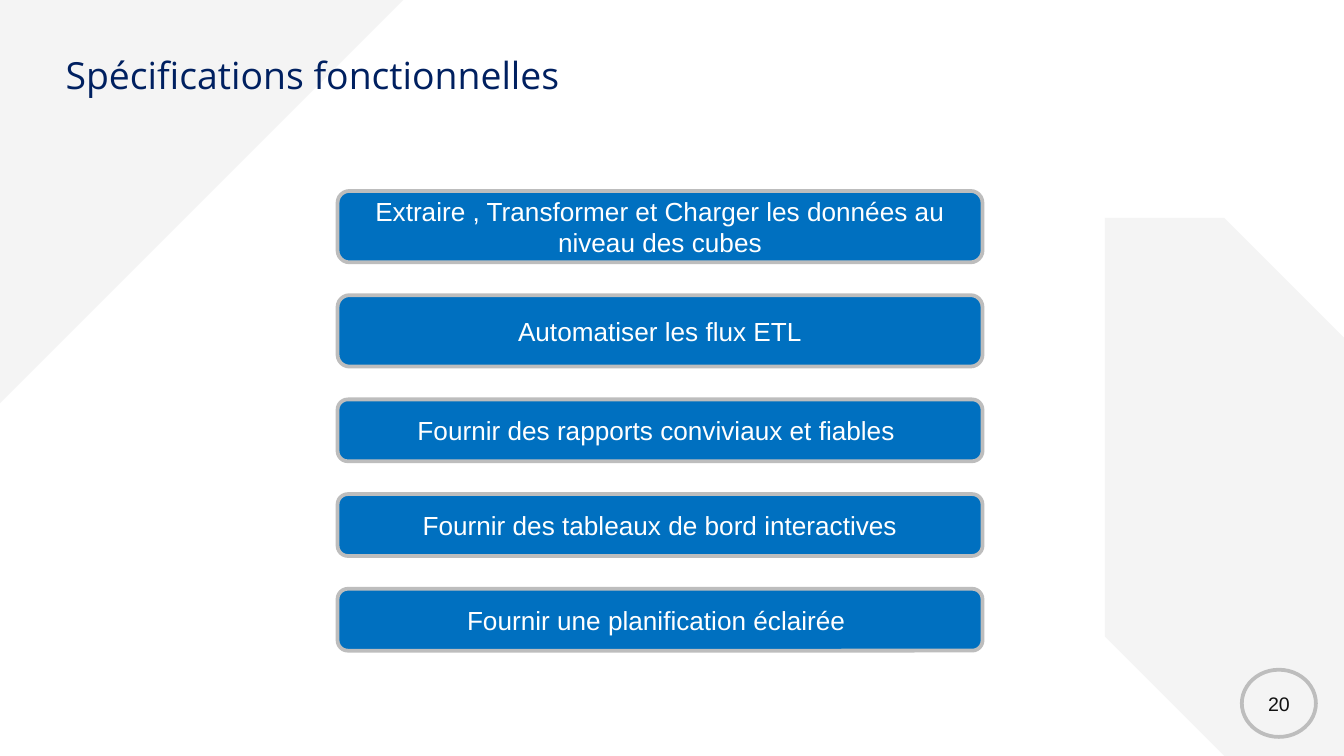
"""Build the functional specifications slide."""
from dataclasses import dataclass

from pptx import Presentation
from pptx.dml.color import RGBColor
from pptx.enum.shapes import MSO_SHAPE
from pptx.enum.text import MSO_ANCHOR, MSO_AUTO_SIZE, PP_ALIGN
from pptx.shapes.autoshape import Shape
from pptx.slide import Slide
from pptx.util import Cm, Pt

COLOURS = {
    "backdrop": "F4F4F4",
    "title": "002060",
    "box": "0070C0",
    "border": "BDBDBD",
    "box_text": "FFFFFF",
    "number": "111111",
}
BOX_LEFT, BOX_WIDTH = 6.38, 12.19
FIRST_TOP, GAP = 3.61, 0.62
TALL, SHORT = 1.35, 1.17


@dataclass
class Area:
    left: float
    top: float
    width: float
    height: float


@dataclass
class Specification:
    wording: str
    height: float


SPECIFICATIONS = [
    Specification("Extraire , Transformer et Charger les données au niveau des cubes", TALL),
    Specification("Automatiser les flux ETL", TALL),
    Specification("Fournir des rapports conviviaux et fiables ", SHORT),
    Specification("Fournir des tableaux de bord interactives", SHORT),
    Specification("Fournir une planification éclairée ", SHORT),
]


def colour(name: str) -> RGBColor:
    return RGBColor.from_string(COLOURS[name])


def add_figure(slide: Slide, preset: MSO_SHAPE, area: Area,
               fill: str | None, border: str | None = None) -> Shape:
    figure = slide.shapes.add_shape(
        preset, Cm(area.left), Cm(area.top), Cm(area.width), Cm(area.height))
    figure.shadow.inherit = False
    if fill:
        figure.fill.solid()
        figure.fill.fore_color.rgb = colour(fill)
    else:
        figure.fill.background()
    if border:
        figure.line.color.rgb = colour(border)
        figure.line.width = Pt(2)
    else:
        figure.line.fill.background()
    return figure


def write(holder: Shape, wording: str, font: str, size: float, ink: str,
          alignment: PP_ALIGN = PP_ALIGN.CENTER) -> None:
    paragraph = holder.text_frame.paragraphs[0]
    paragraph.alignment = alignment
    run = paragraph.add_run()
    run.text = wording
    run.font.name = font
    run.font.size = Pt(size)
    run.font.color.rgb = colour(ink)


def add_backdrop(slide: Slide) -> None:
    corner = add_figure(slide, MSO_SHAPE.RIGHT_TRIANGLE, Area(0, 0, 7.62, 7.62), "backdrop")
    corner.rotation = 90
    band = add_figure(slide, MSO_SHAPE.SNIP_2_DIAG_RECTANGLE,
                      Area(20.88, 4.12, 4.52, 10.17), "backdrop")
    band.adjustments[0] = 0
    band.adjustments[1] = 0.5


def add_title(slide: Slide, wording: str) -> None:
    title = slide.shapes.add_textbox(Cm(0.99), Cm(0.86), Cm(11.13), Cm(1.11))
    title.text_frame.word_wrap = False
    title.text_frame.auto_size = MSO_AUTO_SIZE.SHAPE_TO_FIT_TEXT
    write(title, wording, "Open Sans", 20, "title", PP_ALIGN.LEFT)


def add_specifications(slide: Slide) -> None:
    top = FIRST_TOP
    for specification in SPECIFICATIONS:
        area = Area(BOX_LEFT, top, BOX_WIDTH, specification.height)
        box = add_figure(slide, MSO_SHAPE.ROUNDED_RECTANGLE, area, "box", "border")
        box.text_frame.word_wrap = True
        box.text_frame.vertical_anchor = MSO_ANCHOR.MIDDLE
        write(box, specification.wording, "Arial", 14, "box_text")
        top += specification.height + GAP


def add_page_number(slide: Slide, number: str) -> None:
    badge = add_figure(slide, MSO_SHAPE.OVAL, Area(23.47, 12.66, 1.4, 1.27), None, "border")
    badge.text_frame.word_wrap = False
    badge.text_frame.vertical_anchor = MSO_ANCHOR.MIDDLE
    write(badge, number, "Arial", 10.5, "number")


def main() -> None:
    presentation = Presentation()
    presentation.slide_width = Cm(25.4)
    presentation.slide_height = Cm(14.29)
    slide = presentation.slides.add_slide(presentation.slide_layouts[6])
    add_backdrop(slide)
    add_title(slide, "Spécifications fonctionnelles")
    add_specifications(slide)
    add_page_number(slide, "20")
    presentation.save("out.pptx")


if __name__ == "__main__":
    main()
